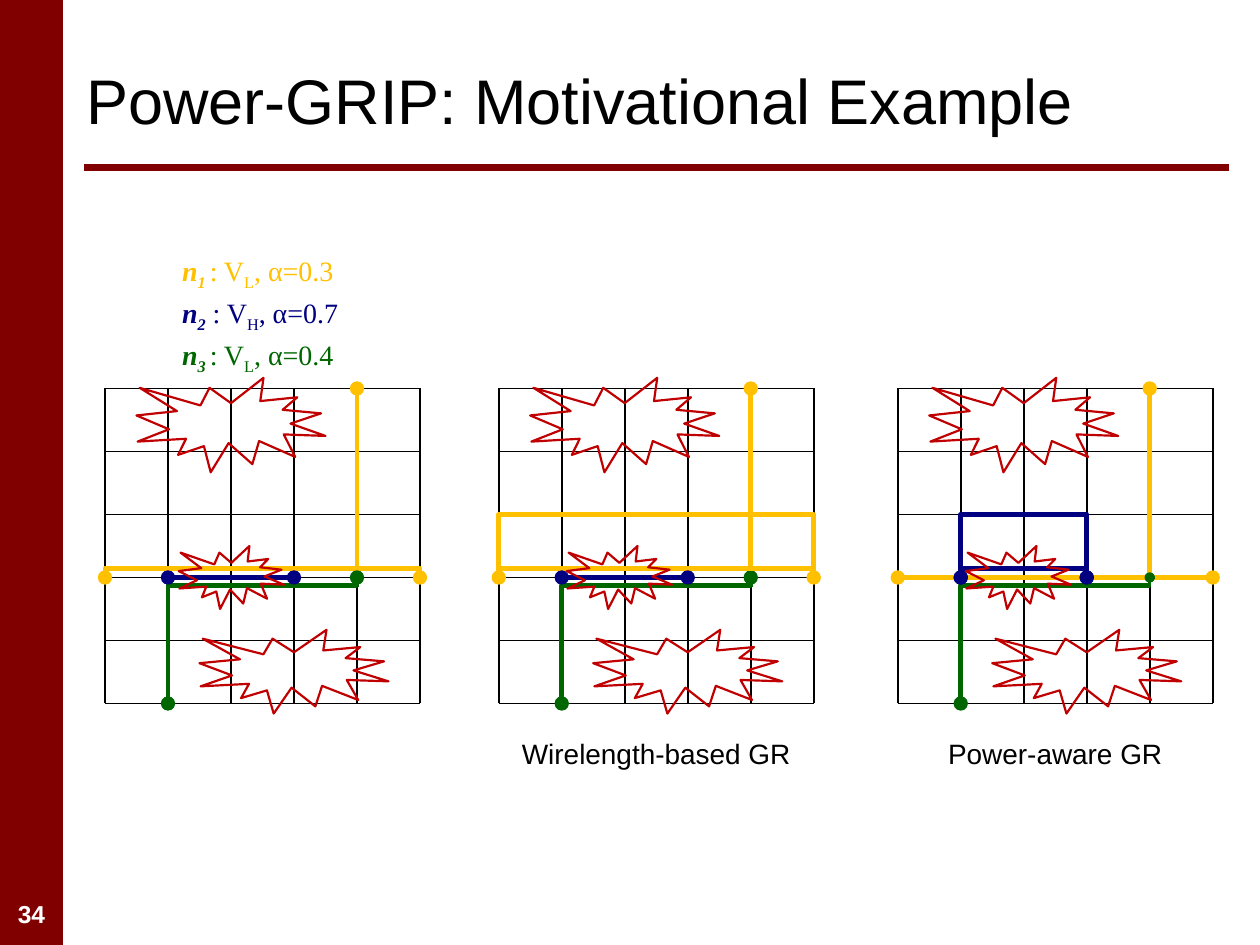
from dataclasses import dataclass

from lxml import etree
from pptx import Presentation
from pptx.dml.color import RGBColor
from pptx.enum.shapes import MSO_CONNECTOR, MSO_SHAPE
from pptx.enum.text import MSO_ANCHOR, MSO_AUTO_SIZE, PP_ALIGN
from pptx.oxml.ns import qn
from pptx.util import Pt

STRAIGHT = MSO_CONNECTOR.STRAIGHT
RECTANGLE = MSO_SHAPE.RECTANGLE
BURST = MSO_SHAPE.EXPLOSION1
FIT_TEXT = MSO_AUTO_SIZE.SHAPE_TO_FIT_TEXT
MIDDLE = MSO_ANCHOR.MIDDLE
LEFT, CENTER = PP_ALIGN.LEFT, PP_ALIGN.CENTER


@dataclass(frozen=True)
class Theme:
    maroon: RGBColor = RGBColor(0x80, 0x00, 0x00)
    black: RGBColor = RGBColor(0x00, 0x00, 0x00)
    white: RGBColor = RGBColor(0xFF, 0xFF, 0xFF)
    amber: RGBColor = RGBColor(0xFF, 0xC0, 0x00)
    navy: RGBColor = RGBColor(0x00, 0x00, 0x80)
    green: RGBColor = RGBColor(0x00, 0x66, 0x00)
    red: RGBColor = RGBColor(0xC0, 0x00, 0x00)
    sans: str = "Arial"
    serif: str = "Times New Roman"
    title_size: float = 36
    label_size: float = 16
    number_size: float = 14
    rule_width: float = 4
    grid_width: float = 1
    wire_width: float = 2.75
    thin_wire: float = 1.5
    burst_width: float = 1.25


THEME = Theme()
CELL = 36
CELLS = 5


@dataclass(frozen=True)
class Wire:
    """Route through points in grid units; a single point is a pin."""
    color: RGBColor
    points: tuple
    width: float = THEME.wire_width
    dotted_ends: bool = False


def style_line(shape, color, width, head=False, tail=False):
    shape.line.color.rgb = color
    shape.line.width = Pt(width)
    ln = shape.line._get_or_add_ln()
    for tag, wanted in (("a:headEnd", head), ("a:tailEnd", tail)):
        if wanted:
            etree.SubElement(ln, qn(tag)).set("type", "oval")


def add_line(slide, start, end, color, width, head=False, tail=False):
    line = slide.shapes.add_connector(STRAIGHT, *(Pt(v) for v in (*start, *end)))
    style_line(line, color, width, head, tail)
    etree.SubElement(line._element.spPr, qn("a:effectLst"))


def add_run(paragraph, text, font, size, color, bold=False, italic=False, subscript=False):
    run = paragraph.add_run()
    run.text = text
    run.font.name, run.font.size = font, Pt(size)
    run.font.color.rgb = color
    run.font.bold, run.font.italic = bold, italic
    if subscript:
        run.font._element.set("baseline", "-25000")


def add_label(slide, left, top, width, height, align=LEFT):
    """Return the empty first paragraph of a one-line label."""
    box = slide.shapes.add_textbox(Pt(left), Pt(top), Pt(width), Pt(height))
    box.text_frame.word_wrap = False
    box.text_frame.auto_size = FIT_TEXT
    paragraph = box.text_frame.paragraphs[0]
    paragraph.alignment = align
    return paragraph


def add_frame(slide, width, height, number):
    """Side bar, title rule and slide number."""
    bar_width = 36
    bar = slide.shapes.add_shape(RECTANGLE, 0, 0, Pt(bar_width), Pt(height))
    bar.shadow.inherit = False
    bar.fill.solid()
    bar.fill.fore_color.rgb = THEME.maroon
    bar.line.fill.background()
    add_line(slide, (48, 96), (width - 18, 96), THEME.maroon, THEME.rule_width)
    paragraph = add_label(slide, 0, height - 30, bar_width, 24, CENTER)
    add_run(paragraph, number, THEME.sans, THEME.number_size, THEME.white, bold=True)


def add_title(slide, left, top, width, height, text):
    title = slide.shapes.title
    title.left, title.top, title.width, title.height = (
        Pt(v) for v in (left, top, width, height))
    title.text_frame.vertical_anchor = MIDDLE
    paragraph = title.text_frame.paragraphs[0]
    paragraph.alignment = LEFT
    add_run(paragraph, text, THEME.sans, THEME.title_size, THEME.black)


def add_legend(slide, left, top, nets):
    for row, (color, index, separator, level, activity) in enumerate(nets):
        paragraph = add_label(slide, left, top + row * 24.1, 107, 26.6)
        style = (THEME.serif, THEME.label_size, color)
        add_run(paragraph, "n", *style, bold=True, italic=True)
        add_run(paragraph, index, *style, bold=True, italic=True, subscript=True)
        add_run(paragraph, separator + "V", *style)
        add_run(paragraph, level, *style, subscript=True)
        add_run(paragraph, ", α=" + activity, *style)


def add_grid(slide, left, top):
    side = CELL * CELLS
    for step in range(CELLS + 1):
        offset = step * CELL
        for start, end in (((0, offset), (side, offset)), ((offset, 0), (offset, side))):
            add_line(slide, (left + start[0], top + start[1]),
                     (left + end[0], top + end[1]), THEME.black, THEME.grid_width)


def add_burst(slide, left, top, col, row, cols, rows):
    burst = slide.shapes.add_shape(
        BURST, Pt(left + col * CELL), Pt(top + row * CELL), Pt(cols * CELL), Pt(rows * CELL))
    burst.shadow.inherit = False
    burst.fill.background()
    style_line(burst, THEME.red, THEME.burst_width)


def add_wire(slide, left, top, wire):
    points = [(left + col * CELL, top + row * CELL) for col, row in wire.points]
    ends = wire.dotted_ends
    if len(points) == 1:
        x, y = points[0]
        add_line(slide, (x, y), (x + 3, y), wire.color, wire.width, head=True)
    elif len(points) == 2:
        add_line(slide, *points, wire.color, wire.width, ends, ends)
    else:
        start, *rest = [(Pt(x), Pt(y)) for x, y in points]
        builder = slide.shapes.build_freeform(*start)
        builder.add_line_segments(rest, close=False)
        route = builder.convert_to_shape()
        route.shadow.inherit = False
        route.fill.background()
        style_line(route, wire.color, wire.width, ends, ends)


def add_panel(slide, left, top, wires, center_burst_col, caption=""):
    """Routing grid with blockages, wires and an optional caption."""
    add_grid(slide, left, top)
    add_burst(slide, left, top, 0.5, -0.17, 3, 1.5)
    add_burst(slide, left, top, 1.5, 3.83, 3, 1.33)
    for wire in wires:
        add_wire(slide, left, top, wire)
    add_burst(slide, left, top, center_burst_col, 2.5, 1.67, 1)
    if caption:
        paragraph = add_label(slide, left, top + 195.6, CELL * CELLS, 26.6, CENTER)
        add_run(paragraph, caption, THEME.sans, THEME.label_size, THEME.black)


def detour(color, first, last, row, dotted_ends=False):
    """Wire that leaves row 3, runs along the given row and returns."""
    points = ((first, 3), (first, row), (last, row), (last, 3))
    return Wire(color, points, dotted_ends=dotted_ends)


def main():
    width, height = 720, 540
    deck = Presentation()
    deck.slide_width, deck.slide_height = Pt(width), Pt(height)
    slide = deck.slides.add_slide(deck.slide_layouts[5])
    amber, navy, green = THEME.amber, THEME.navy, THEME.green

    add_frame(slide, width, height, "34")
    add_title(slide, 42, 18, 660, 78, "Power-GRIP: Motivational Example")
    add_legend(slide, 97, 141.2, (
        (amber, "1 ", ": ", "L", "0.3"),
        (navy, "2", " : ", "H", "0.7"),
        (green, "3 ", ": ", "L", "0.4"),
    ))

    shared = [Wire(green, ((1, 5),)), Wire(green, ((4, 3.13), (1, 3.13), (1, 5)))]
    shared += [Wire(amber, (pin,)) for pin in ((5, 3), (0, 3), (4, 0))]
    green_pin = Wire(green, ((4, 3),))
    green_stub = Wire(green, ((4, 3), (4, 3.15)))
    low_amber = [detour(amber, 5, 0, 2.86), Wire(amber, ((4, 0), (4, 2.86)))]
    straight_navy = Wire(navy, ((1, 3), (3, 3)), dotted_ends=True)

    initial = shared + [green_stub, *low_amber, straight_navy, green_pin]
    wirelength = shared + [green_pin, green_stub, detour(amber, 5, 0, 2),
                           *low_amber, straight_navy]
    power = shared + [
        Wire(green, ((4, 3), (4, 3.15)), THEME.thin_wire),
        Wire(amber, ((0, 3), (5, 3))),
        Wire(amber, ((4, 0), (4, 3))),
        detour(navy, 1, 3, 2, dotted_ends=True),
        Wire(green, ((4, 3),), THEME.thin_wire),
        detour(navy, 1, 3, 2.86, dotted_ends=True),
    ]
    grid_top = 222
    add_panel(slide, 60, grid_top, initial, 1.17)
    add_panel(slide, 285, grid_top, wirelength, 1.08, "Wirelength-based GR")
    add_panel(slide, 513, grid_top, power, 1.08, "Power-aware GR")
    deck.save("out.pptx")


if __name__ == "__main__":
    main()
